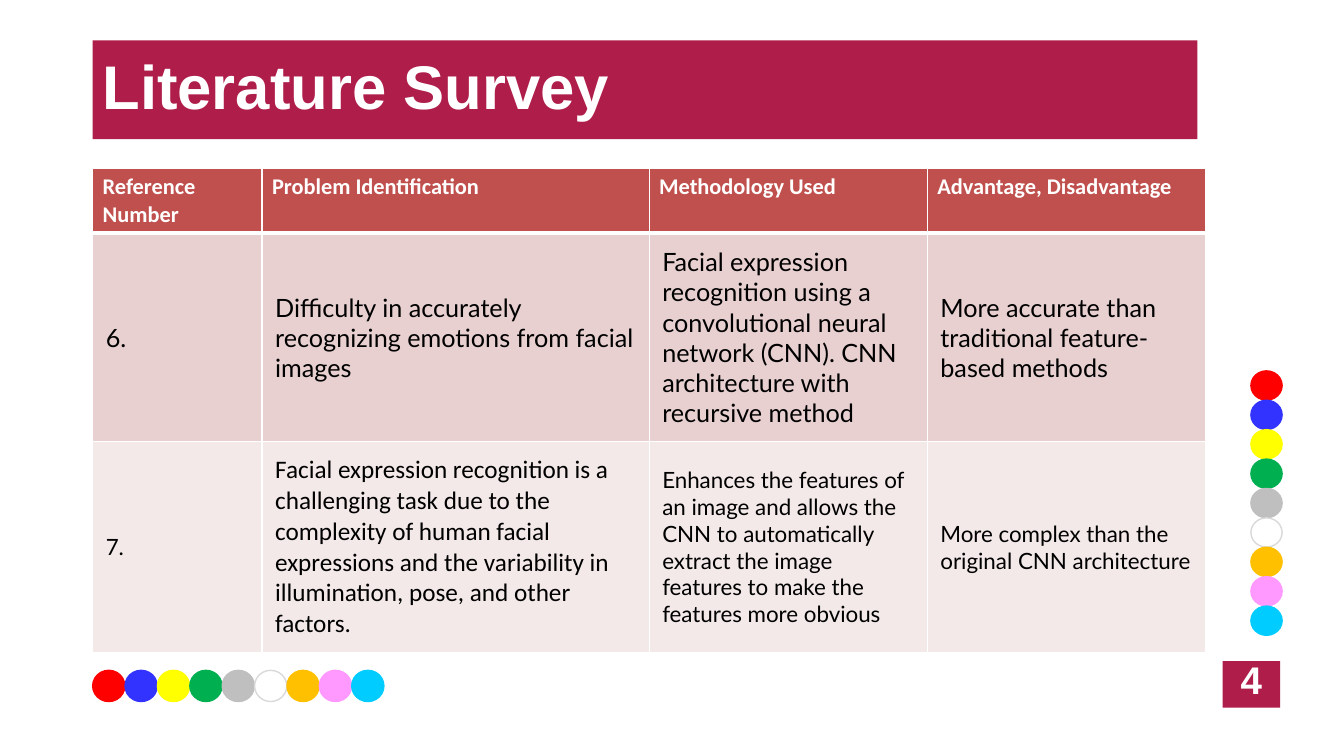
from lxml.etree import SubElement
from pptx import Presentation
from pptx.dml.color import RGBColor
from pptx.enum.shapes import MSO_SHAPE
from pptx.enum.text import MSO_ANCHOR, PP_ALIGN
from pptx.oxml.ns import qn
from pptx.util import Pt

COLORS = {
    "crimson": "AF1D4A", "white": "FFFFFF", "black": "000000",
    "header": "C0504D", "band_dark": "E8D0D0", "band_light": "F4E9E9",
    "red": "FF0000", "blue": "3333FF", "yellow": "FFFF00", "green": "00B050",
    "gray": "BFBFBF", "pale": "D9D9D9", "amber": "FFC000", "pink": "FF99FF",
    "cyan": "00CCFF",
}
DOT_FILLS = ["red", "blue", "yellow", "green", "gray", "white", "amber", "pink", "cyan"]

COLUMN_WIDTHS = [121, 276.5, 198.7, 198.7]
ROW_HEIGHTS = [46.4, 149, 150]
ROW_FILLS = ["header", "band_dark", "band_light"]
SURVEY = [
    [("Reference Number", 16, "Calibri"), ("Problem Identification", 16, "Calibri"),
     ("Methodology Used", 16, "Calibri"), ("Advantage, Disadvantage", 16, "Calibri")],
    [("6.", 18, "Lato"),
     ("Difficulty in accurately recognizing emotions from facial images", 18, "Lato"),
     ("Facial expression recognition using a convolutional neural network (CNN). "
      "CNN architecture with recursive method", 18, "Lato"),
     ("More accurate than traditional feature-based methods", 18, "Lato")],
    [("7.", 16, "Lato"),
     ("Facial expression recognition is a challenging task due to the complexity of human "
      "facial expressions and the variability in illumination, pose, and other factors.",
      18, "Calibri"),
     ("Enhances the features of an image and allows the CNN to automatically extract "
      "the image features to make the features more obvious", 16, "Lato"),
     ("More complex than the original CNN architecture", 16, "Lato")],
]


def color(name):
    return RGBColor.from_string(COLORS[name])


def paint(target, name):
    target.fill.solid()
    target.fill.fore_color.rgb = color(name)


def write(frame, text, size, font, ink, bold):
    frame.text = text
    para = frame.paragraphs[0]
    span = para.runs[0].font
    span.size, span.name, span.bold = Pt(size), font, bold
    span.color.rgb = color(ink)
    return para


def add_label(page, box, text, size, spacing, align):
    """Crimson block with bold white text."""
    block = page.shapes.add_shape(MSO_SHAPE.RECTANGLE, *map(Pt, box))
    block.shadow.inherit = False
    paint(block, "crimson")
    block.line.fill.background()
    block.text_frame.word_wrap = True
    block.text_frame.vertical_anchor = MSO_ANCHOR.MIDDLE
    para = write(block.text_frame, text, size, "Arial", "white", True)
    para.alignment, para.line_spacing = align, spacing


def add_dots(page, box, step_x, step_y, rotation):
    """Chain of coloured dots; box is the first dot."""
    left, top, width, height = box
    for index, name in enumerate(DOT_FILLS):
        dot = page.shapes.add_shape(
            MSO_SHAPE.FLOWCHART_CONNECTOR, Pt(left + index * step_x),
            Pt(top + index * step_y), Pt(width), Pt(height))
        dot.shadow.inherit = False
        dot.rotation = rotation
        paint(dot, name)
        dot.line.color.rgb = color("pale" if name == "white" else name)
        dot.line.width = Pt(1)


def add_borders(cell, top, bottom):
    properties = cell._tc.get_or_add_tcPr()
    for side, width in (("L", 1), ("R", 1), ("T", top), ("B", bottom)):
        line = SubElement(properties, qn(f"a:ln{side}"), w=str(Pt(width)))
        fill = SubElement(line, qn("a:solidFill"))
        SubElement(fill, qn("a:srgbClr"), val=COLORS["white"])


def add_survey(page, left, top):
    """Table with a header row and two banded rows."""
    table = page.shapes.add_table(
        len(SURVEY), len(COLUMN_WIDTHS), Pt(left), Pt(top),
        Pt(sum(COLUMN_WIDTHS)), Pt(sum(ROW_HEIGHTS))).table
    for column, width in zip(table.columns, COLUMN_WIDTHS):
        column.width = Pt(width)
    for row_index, entries in enumerate(SURVEY):
        table.rows[row_index].height = Pt(ROW_HEIGHTS[row_index])
        is_header = row_index == 0
        for column_index, (text, size, font) in enumerate(entries):
            cell = table.cell(row_index, column_index)
            add_borders(cell, 3 if row_index == 1 else 1, 3 if is_header else 1)
            paint(cell, ROW_FILLS[row_index])
            write(cell.text_frame, text, size, font,
                  "white" if is_header else "black", is_header)
            if not is_header:
                cell.vertical_anchor = MSO_ANCHOR.MIDDLE
                cell.margin_left = cell.margin_right = Pt(9.4)
                cell.margin_top = cell.margin_bottom = Pt(9.4)


def main():
    deck = Presentation()
    deck.slide_width, deck.slide_height = Pt(960), Pt(540)
    page = deck.slides.add_slide(deck.slide_layouts[6])
    # Decorative dots: right edge, then bottom left
    add_dots(page, (894.2, 264.2, 20.9, 22.3), 0, 21, 90)
    add_dots(page, (66.2, 478.8, 23, 22.3), 23.13, 0, 0)
    # Title, table and page number
    add_label(page, (66.2, 28.8, 789.1, 70.6), "Literature Survey", 44, 0.9, PP_ALIGN.LEFT)
    add_survey(page, 66.2, 120.2)
    add_label(page, (873.4, 472.3, 41, 33.1), "4", 27.5, 0.7, PP_ALIGN.CENTER)
    deck.save("out.pptx")


if __name__ == "__main__":
    main()
